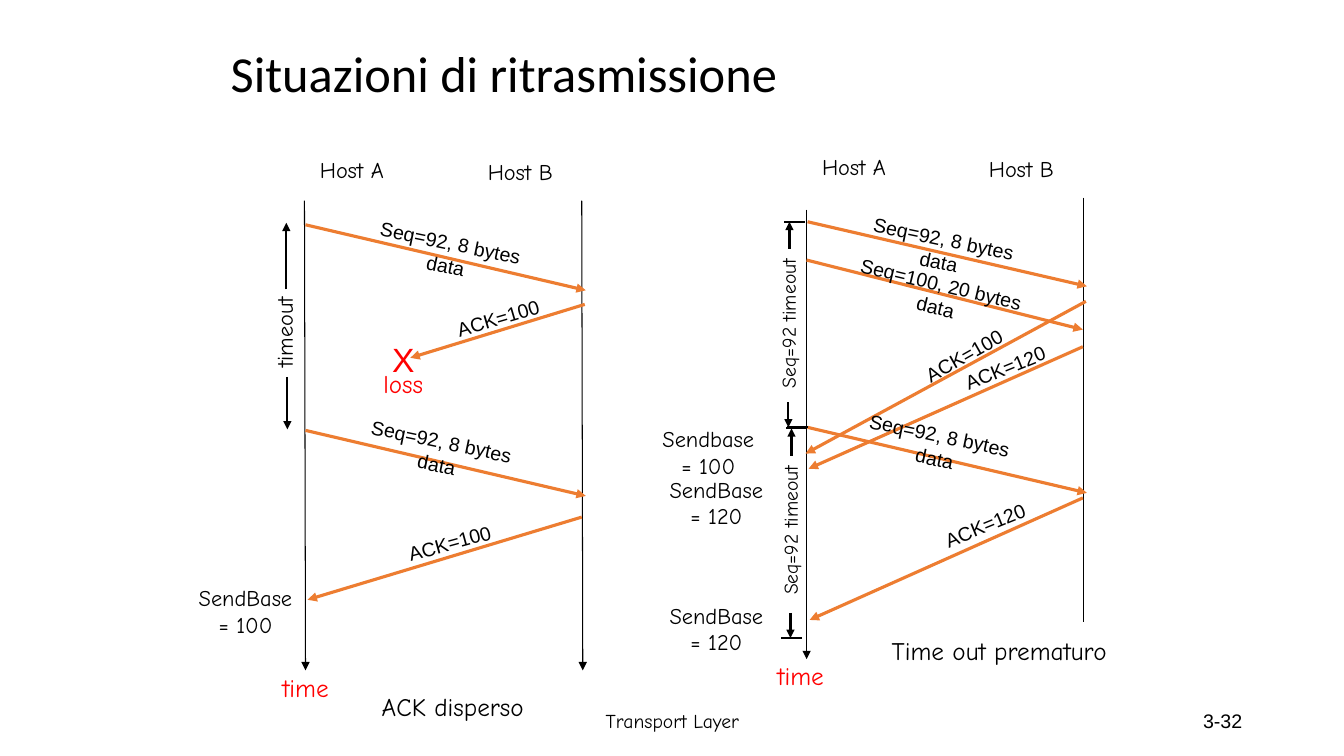
from lxml import etree
from pptx import Presentation
from pptx.dml.color import RGBColor
from pptx.enum.shapes import MSO_CONNECTOR
from pptx.enum.text import MSO_ANCHOR, PP_ALIGN
from pptx.oxml.ns import qn
from pptx.util import Inches, Pt

LEFT, CENTER, RIGHT = PP_ALIGN.LEFT, PP_ALIGN.CENTER, PP_ALIGN.RIGHT
TOP, MIDDLE = MSO_ANCHOR.TOP, MSO_ANCHOR.MIDDLE
STRAIGHT = MSO_CONNECTOR.STRAIGHT
BLACK, RED, ORANGE = "000000", "FF0000", "ED7D31"
HAND, SANS, TITLE = "Comic Neue", "Arial", "Calibri"
SEQ_92 = "Seq=92, 8 bytes data"


def color(hex_code):
    return RGBColor.from_string(hex_code)


def grid(*cells):
    """Turn columns and rows of the 0.1 inch grid into lengths."""
    return [Inches(cell / 10) for cell in cells]


class Sequence:
    """Draws sequence diagrams on one slide, in cells of the grid."""

    def __init__(self, slide):
        self.s = slide

    def text(self, text, box, size, font=HAND, fill=BLACK, rot=0,
             align=CENTER, anchor=TOP, wrap=False):
        sp = self.s.shapes.add_textbox(*grid(*box))
        sp.rotation = rot
        tf = sp.text_frame
        tf.word_wrap = wrap
        tf.vertical_anchor = anchor
        tf.text = text
        for p in tf.paragraphs:
            p.alignment = align
            for r in p.runs:
                r.font.name = font
                r.font.size = Pt(size)
                r.font.color.rgb = color(fill)
        return tf

    def line(self, start, end, fill=BLACK, width=1.5, arrow=True):
        sp = self.s.shapes.add_connector(STRAIGHT, *grid(*start, *end))
        sp.line.color.rgb = color(fill)
        sp.line.width = Pt(width)
        if arrow:
            ln = sp.line._get_or_add_ln()
            etree.SubElement(ln, qn("a:tailEnd"), type="triangle")
        etree.SubElement(sp._element.spPr, qn("a:effectLst"))

    def message(self, start, end, label, corner, width, rot):
        """Arrow between hosts with a slanted label; data labels wrap."""
        self.line(start, end, ORANGE, 2.25)
        self.text(label, (*corner, width, 3.3), 14, SANS, rot=rot,
                  wrap=label.startswith("Seq"))

    def host(self, name, corner, top, bottom, arrow=True):
        """Host name with its lifeline from top to bottom."""
        self.text(name, (*corner, 9.2, 3.7), 16)
        self.line(top, bottom, width=0.75, arrow=arrow)

    def time(self, left, top):
        self.text("time", (left, top, 7.2, 4), 18, fill=RED)

    def timeout(self, x, top, bottom, top_tick, bottom_tick):
        """Bracketed interval between two ticks, with a vertical label."""
        self.text("Seq=92 timeout", (x - 8.3, top + 8.45, 16.3, 3.3), 14, rot=270)
        self.line((x, top + 2.7), (x, top))
        self.line((x - 0.1, bottom - 2.5), (x - 0.1, bottom))
        for left, y in (top_tick, top), (bottom_tick, bottom):
            self.line((left, y), (left + 2, y), arrow=False)

    def send_base(self, text, left, top):
        self.text(text, (left, top, 12.1, 6.4), 16)


def lost_ack(d):
    d.host("Host A", (30.3, 15), (30.2, 19.9), (30.3, 66.5))
    d.host("Host B", (47, 15.2), (57.7, 19.9), (57.8, 66.5))
    for start, end, label, corner, width, rot in (
        ((30.3, 22.3), (58.1, 28.8), SEQ_92, (34.5, 22.4), 20.4, 11.8),
        ((58, 30.2), (40.7, 35.5), "ACK=100", (44.2, 29.9), 10.4, 343.6),
        ((30.3, 42.7), (58.1, 49.2), SEQ_92, (33.6, 42.1), 20.4, 11.8),
        ((57.7, 51.3), (30.5, 59.5), "ACK=100", (39.3, 52.2), 10.6, 344.6),
    ):
        d.message(start, end, label, corner, width, rot)
    d.text("X", (37.9, 33.1, 4.2, 5), 24, SANS, RED)
    d.text("loss", (36.8, 36.1, 6.4, 4), 18, fill=RED)
    d.line((28.4, 28.7), (28.4, 22.1))
    d.line((28.5, 37.4), (28.5, 42.6))
    d.text("timeout", (23.2, 31.1, 10, 3.7), 16, rot=270)
    d.send_base("SendBase\n= 100", 18.3, 57.5)
    d.time(26.7, 66.2)
    d.text("ACK disperso", (36.2, 68.1, 17.4, 4), 18)


def premature_timeout(d):
    d.host("Host A", (80.1, 14.7), (80, 20.8), (80, 65.4))
    d.host("Host B", (96.7, 14.9), (107.5, 19.6), (107.5, 61.7), arrow=False)
    for start, end, label, corner, width, rot in (
        ((107.4, 34.4), (80.2, 46.5), "ACK=120", (94.4, 34.8), 10.6, 337.7),
        ((107.7, 29.9), (79.9, 45), "ACK=100", (90.4, 33.6), 10.4, 330.5),
        ((80.1, 22), (107.8, 28.4), SEQ_92, (83.4, 22), 20.4, 11.8),
        ((80, 25.8), (107.4, 32.7), "Seq=100, 20 bytes data", (82.1, 26.5), 22.5, 13.5),
        ((80.1, 42.4), (107.8, 48.9), SEQ_92, (83, 41.5), 20.4, 11.8),
        ((107.4, 49.4), (80.3, 61.5), "ACK=120", (92.4, 50.4), 10.6, 337.7),
    ):
        d.message(start, end, label, corner, width, rot)
    d.timeout(78.3, 22, 42.4, 77.8, 78.1)
    d.timeout(78.5, 42.5, 63.3, 78, 77.5)
    d.send_base("Sendbase\n= 100", 64.2, 41.7)
    for top in 46.7, 59.2:
        d.send_base("SendBase\n= 120", 65, top)
    d.time(75.8, 65)
    d.text("Time out prematuro", (86.5, 62.5, 25.2, 4), 18)


def main():
    prs = Presentation()
    prs.slide_width, prs.slide_height = Inches(13.33), Inches(7.5)
    d = Sequence(prs.slides.add_slide(prs.slide_layouts[6]))
    title = d.text("Situazioni di ritrasmissione", (21.9, 2.6, 85, 9.9), 36,
                   TITLE, align=LEFT, anchor=MIDDLE, wrap=True)
    title.paragraphs[0].line_spacing = 0.9
    lost_ack(d)
    premature_timeout(d)
    d.text("Transport Layer", (44.2, 69.5, 45, 4), 14, anchor=MIDDLE, wrap=True)
    d.text("3-32", (94.2, 69.5, 30, 4), 14, SANS, align=RIGHT, anchor=MIDDLE,
           wrap=True)
    prs.save("out.pptx")


if __name__ == "__main__":
    main()
